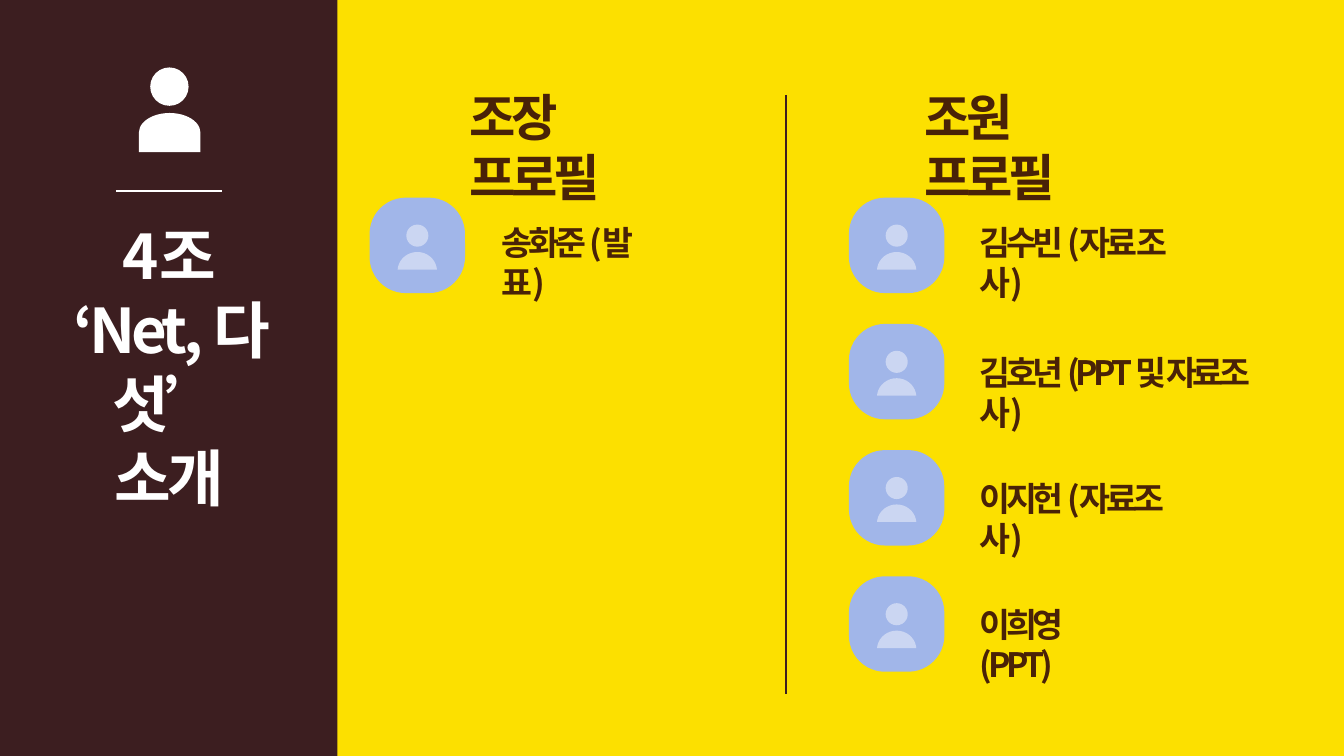
"""Build the team introduction slide with leader and member profiles."""
from pptx import Presentation
from pptx.dml.color import RGBColor
from pptx.enum import shapes, text
from pptx.oxml import parse_xml
from pptx.oxml.ns import nsdecls, qn
from pptx.util import Pt

FONT = "Noto Sans CJK KR"
HUES = {"dark": "3C1E20", "gold": "FCE000", "white": "FFFFFF",
        "brown": "492207", "blue": "A1B6E9", "pale": "CBD6F2"}
KIND = shapes.MSO_SHAPE


def paint(shape, hue):
    shape.shadow.inherit = False
    shape.fill.solid()
    shape.fill.fore_color.rgb = RGBColor.from_string(HUES[hue])
    shape.line.fill.background()
    return shape


def write(box, lines, size, hue, align):
    frame = slide.shapes.add_textbox(*map(Pt, box)).text_frame
    frame.word_wrap = True
    frame.auto_size = text.MSO_AUTO_SIZE.SHAPE_TO_FIT_TEXT
    for i, line in enumerate(lines):
        para = frame.paragraphs[0] if i == 0 else frame.add_paragraph()
        para.alignment = align
        run = para.add_run()
        run.text = line
        font = run.font
        font.name, font.size, font.bold = FONT, Pt(size), True
        font.color.rgb = RGBColor.from_string(HUES[hue])
        props = run._r.get_or_add_rPr()
        props.set("spc", "-300")
        props.append(parse_xml(f'<a:ea {nsdecls("a")} typeface="{FONT}"/>'))


deck = Presentation()
deck.slide_width, deck.slide_height = Pt(960), Pt(540)
slide = deck.slides.add_slide(deck.slide_layouts[6])

panels = [
    (KIND.RECTANGLE, (0, 0, 960, 540), "dark", 0),
    (KIND.RECTANGLE, (241, 0, 719, 540), "gold", 0),
    (KIND.OVAL, (107.3, 48.2, 27.4, 27.4), "white", 0),
    (KIND.FLOWCHART_DELAY, (107.2, 72.7, 28, 44), "white", 270),
]
for kind, box, hue, turn in panels:
    panel = paint(slide.shapes.add_shape(kind, *map(Pt, box)), hue)
    panel.rotation = turn

rules = [((82.8, 136.6, 158.6, 136.6), "white", 1.5),
         ((561.5, 67.8, 561.5, 496), "dark", 1.75)]
for ends, hue, width in rules:
    rule = slide.shapes.add_connector(shapes.MSO_CONNECTOR.STRAIGHT, *map(Pt, ends))
    rule.line.color.rgb = RGBColor.from_string(HUES[hue])
    rule.line.width = Pt(width)
    rule._element.spPr.append(parse_xml(f'<a:effectLst {nsdecls("a")}/>'))

write((23.8, 152, 194.4, 167), ["4조", "‘Net, 다섯’", "소개"],
      44, "white", text.PP_ALIGN.CENTER)

for title, left in [("조장 프로필", 328.3), ("조원 프로필", 653)]:
    write((left, 57.8, 162, 51), [title], 36, "brown", text.PP_ALIGN.LEFT)

names = [
    ("송화준 (발표)", 351.4, 154.8, 129.6),
    ("김수빈 (자료 조사)", 692.6, 154.8, 175),
    ("김호년 (PPT 및 자료조사)", 692.6, 247.7, 234.7),
    ("이지헌 (자료조사)", 692.6, 337.7, 167.8),
    ("이희영 (PPT)", 692.6, 427.7, 125.3),
]
for name, left, top, width in names:
    write((left, top, width, 36), [name], 24, "brown", text.PP_ALIGN.LEFT)

body = [(14, 0), (27.8, 10.8), (28, 12.5), (0, 12.5), (0.2, 10.8), (14, 0)]
bends = [(0, [(20.7, 0), (26.4, 4.5), (27.8, 10.8)]),
         (4, [(1.6, 4.5), (7.3, 0), (14, 0)])]

badges = [(264, 141.2)] + [(606.4, 141.2 + 90.15 * row) for row in range(4)]
for left, top in badges:
    badge = slide.shapes.add_group_shape().shapes
    tile = badge.add_shape(KIND.ROUNDED_RECTANGLE, *map(Pt, (left, top, 68.2, 68.2)))
    tile.adjustments[0] = 0.38
    paint(tile, "blue")
    head = badge.add_shape(KIND.OVAL, *map(Pt, (left + 26.2, top + 19.2, 15.8, 15.8)))
    paint(head, "pale")
    dots = [((left + 20.1 + x) * 100, (top + 38.8 + y) * 100) for x, y in body]
    form = badge.build_freeform(*dots[0], scale=Pt(1) / 100)
    form.add_line_segments(dots[1:], close=True)
    bust = paint(form.convert_to_shape(), "pale")
    sides = list(bust._element.iter(qn("a:lnTo")))
    for side, knots in bends:
        marks = "".join(f'<a:pt x="{round(x * 100)}" y="{round(y * 100)}"/>' for x, y in knots)
        arc = parse_xml(f'<a:cubicBezTo {nsdecls("a")}>{marks}</a:cubicBezTo>')
        sides[side].getparent().replace(sides[side], arc)

deck.save("out.pptx")
